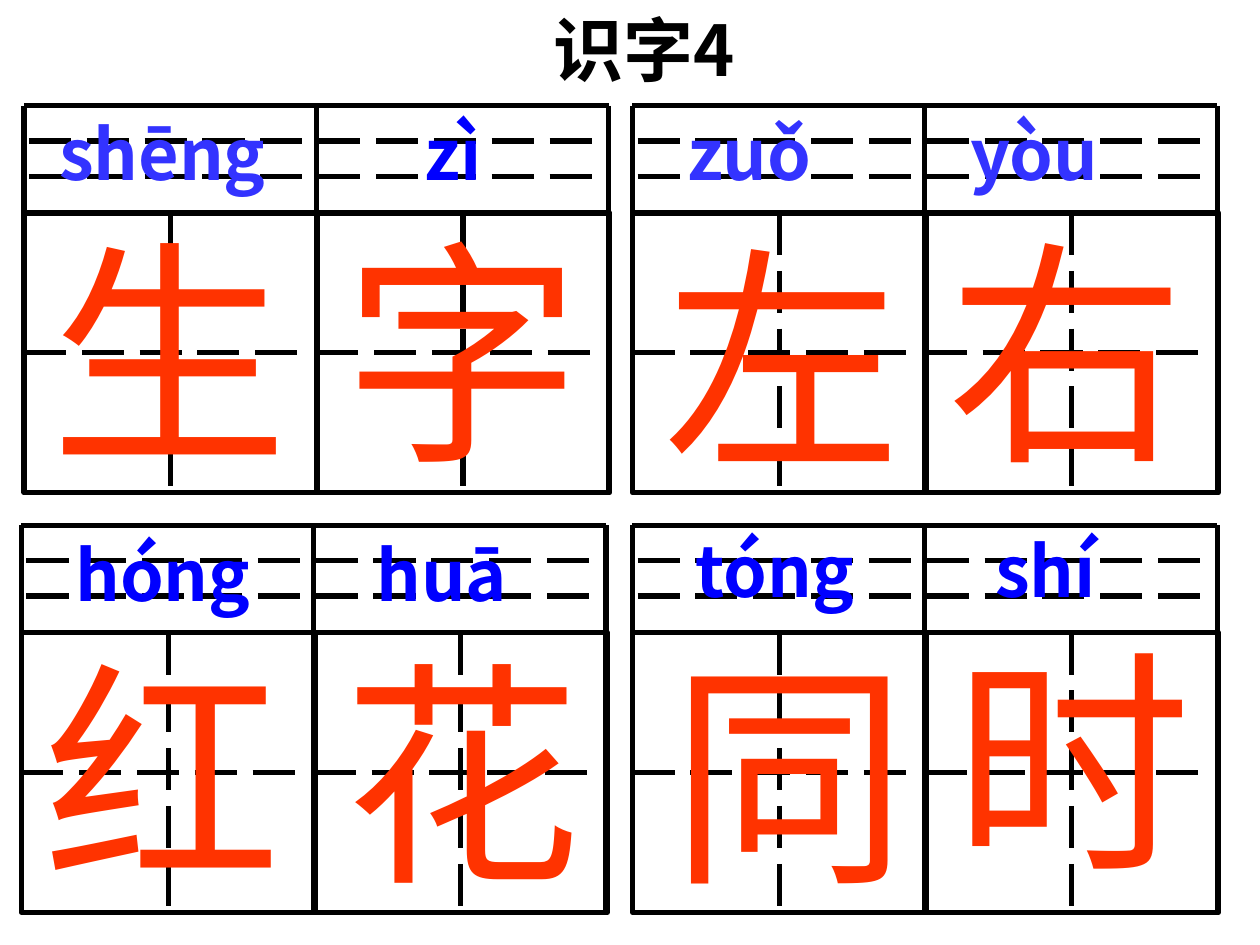
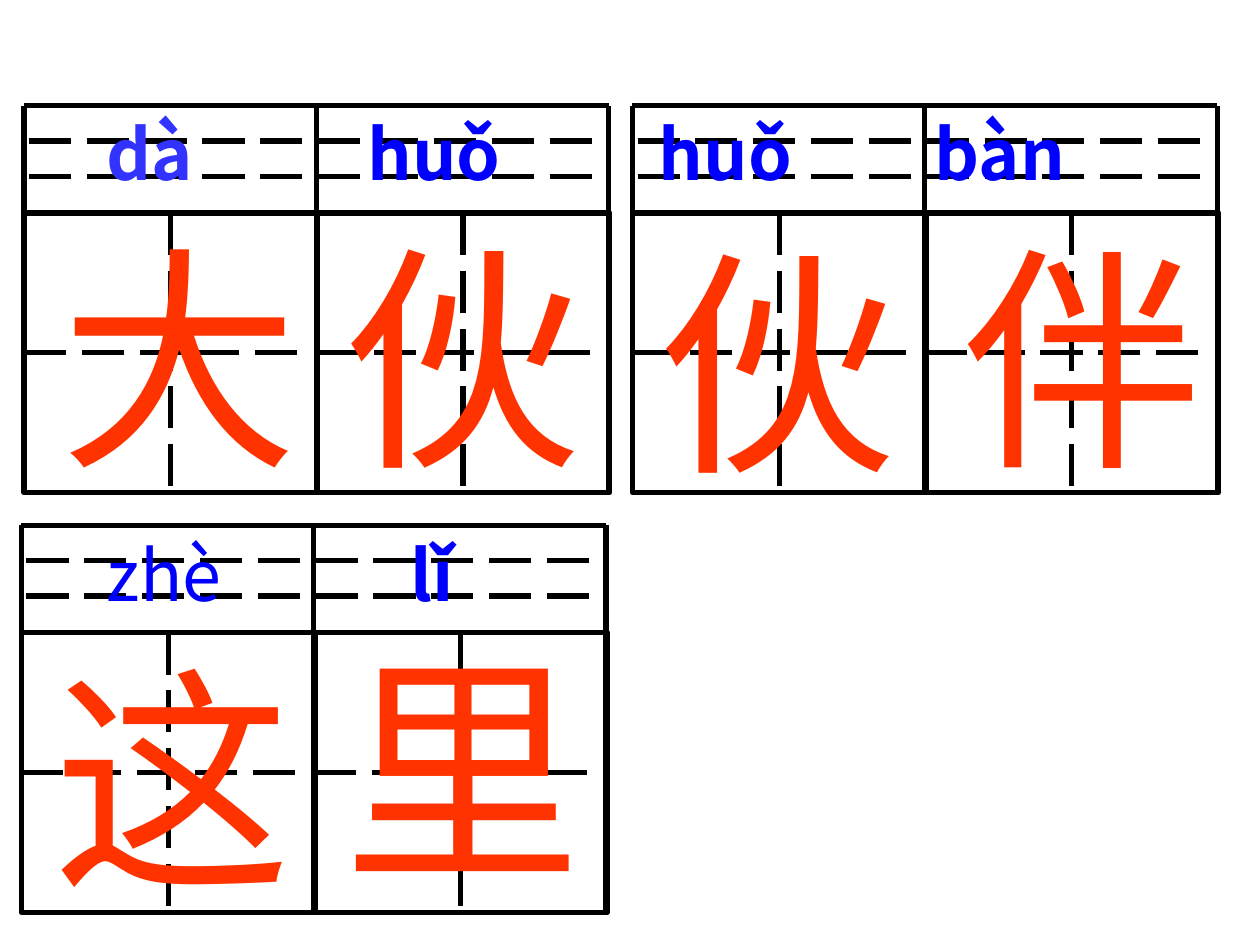
"""Build two slides of Chinese characters in writing grids with pinyin above."""
import pptx
import pptx.dml.color
import pptx.enum.dml
import pptx.enum.shapes
import pptx.enum.text
import pptx.oxml.ns
import pptx.util
from lxml import etree

Inches = pptx.util.Inches
Pt = pptx.util.Pt
RGBColor = pptx.dml.color.RGBColor

BLACK = RGBColor(0x00, 0x00, 0x00)
RED = RGBColor(0xFF, 0x33, 0x00)
BLUE = RGBColor(0x00, 0x00, 0xFF)
LIGHT_BLUE = RGBColor(0x33, 0x33, 0xFF)
CJK_FONT = "Noto Sans CJK SC"
HANZI_FONT = "Arial"

TITLE_ONLY, BLANK = 5, 6
HANZI_SIZE, PINYIN_SIZE = 136, 40
HANZI_WIDTH, HANZI_HEIGHT = 2.28, 2.37
LINE_HEIGHT = 0.77

CELL_PITCH, CELL_WIDTH, CELL_HEIGHT = 2.32, 2.33, 2.22
PINYIN_BAND = 0.85
GRID_WIDTH, GRID_HEIGHT = 2 * CELL_PITCH, 3.06
GUIDE_STEP, GUIDE_INSET = 0.28, 0.04

TOP_LEFT, TOP_RIGHT = (0.19, 0.84), (5.02, 0.84)
BOTTOM_LEFT, BOTTOM_RIGHT = (0.17, 4.17), (5.02, 4.17)

LESSONS = [
    {
        "title": "识字4",
        "grids": [TOP_LEFT, TOP_RIGHT, BOTTOM_LEFT, BOTTOM_RIGHT],
        "hanzi": [
            ("生", 0.3, 1.58), ("字", 2.63, 1.58), ("左", 5.17, 1.63), ("右", 7.42, 1.58),
            ("红", 0.25, 4.92), ("花", 2.63, 4.92), ("同", 5.22, 4.92), ("时", 7.47, 4.83),
        ],
        "pinyin": [
            ((0.12, 0.83, 9.88), [
                ("shēng", 0.25, LIGHT_BLUE, True), ("zì", 3.15, BLUE, True),
                ("zuǒ", 5.24, LIGHT_BLUE, True), ("yòu", 7.48, LIGHT_BLUE, True)]),
            ((0, 4.17, 6.08), [("hóng", 0.5, BLUE, True), ("huā", 2.89, BLUE, True)]),
            ((4.92, 4.14, 5.08), [("tóng", 0.5, BLUE, True), ("shí", 2.88, BLUE, True)]),
        ],
    },
    {
        "title": None,
        "grids": [TOP_LEFT, TOP_RIGHT, BOTTOM_LEFT],
        "hanzi": [
            ("大", 0.38, 1.63), ("伙", 2.63, 1.63), ("伙", 5.13, 1.67), ("伴", 7.55, 1.63),
            ("这", 0.33, 4.97), ("里", 2.63, 4.88),
        ],
        "pinyin": [
            ((0.12, 0.83, 9.88), [
                ("dà", 0.63, LIGHT_BLUE, True), ("huǒ", 2.7, BLUE, True),
                ("huǒ", 5.01, BLUE, True), ("bàn", 7.2, BLUE, True)]),
            ((0, 4.17, 6.08), [("zhè", 0.75, BLUE, False), ("lǐ", 3.16, BLUE, True)]),
        ],
    },
]


def style_line(line, dashed=False):
    line.color.rgb = BLACK
    line.width = Pt(3)
    if dashed:
        line.dash_style = pptx.enum.dml.MSO_LINE.LONG_DASH


def draw_line(shapes, x1, y1, x2, y2, dashed=False):
    stroke = shapes.add_connector(
        pptx.enum.shapes.MSO_CONNECTOR.STRAIGHT,
        Inches(x1), Inches(y1), Inches(x2), Inches(y2))
    style_line(stroke.line, dashed)
    etree.SubElement(stroke._element.spPr, pptx.oxml.ns.qn("a:effectLst"))


def draw_grid(slide, left, top):
    shapes = slide.shapes.add_group_shape().shapes
    right, bottom = left + GRID_WIDTH, top + GRID_HEIGHT
    cell_top = top + PINYIN_BAND
    for column in range(2):
        x = left + column * CELL_PITCH
        cell = shapes.add_shape(
            pptx.enum.shapes.MSO_SHAPE.RECTANGLE,
            Inches(x), Inches(cell_top), Inches(CELL_WIDTH), Inches(CELL_HEIGHT))
        cell.shadow.inherit = False
        cell.fill.background()
        style_line(cell.line)
        middle_x, middle_y = x + CELL_WIDTH / 2, cell_top + CELL_HEIGHT / 2
        draw_line(shapes, middle_x, cell_top, middle_x, cell_top + CELL_HEIGHT, True)
        draw_line(shapes, x, middle_y, x + CELL_PITCH - GUIDE_INSET, middle_y, True)
    draw_line(shapes, left, top, right, top)
    for guide in (1, 2):
        y = top + guide * GUIDE_STEP
        draw_line(shapes, left + GUIDE_INSET, y, right, y, True)
    for column in range(3):
        x = left + column * CELL_PITCH
        draw_line(shapes, x, top, x, bottom)


def style_run(run, font_name, size, color, bold=False):
    run.font.name = font_name
    run.font.size = Pt(size)
    run.font.bold = bold
    run.font.color.rgb = color
    east_asian = etree.SubElement(run._r.get_or_add_rPr(), pptx.oxml.ns.qn("a:ea"))
    east_asian.set("typeface", CJK_FONT)


def set_frame(frame):
    frame.word_wrap = True
    frame.auto_size = pptx.enum.text.MSO_AUTO_SIZE.SHAPE_TO_FIT_TEXT
    frame.vertical_anchor = pptx.enum.text.MSO_ANCHOR.TOP


def add_text_frame(slide, left, top, width, height):
    frame = slide.shapes.add_textbox(
        Inches(left), Inches(top), Inches(width), Inches(height)).text_frame
    set_frame(frame)
    return frame


def add_hanzi(slide, character, left, top):
    frame = add_text_frame(slide, left, top, HANZI_WIDTH, HANZI_HEIGHT)
    frame.text = character
    style_run(frame.paragraphs[0].runs[0], HANZI_FONT, HANZI_SIZE, RED)


def add_pinyin(slide, place, syllables):
    paragraph = add_text_frame(slide, *place, LINE_HEIGHT).paragraphs[0]
    tabs = etree.SubElement(
        paragraph._p.get_or_add_pPr(), pptx.oxml.ns.qn("a:tabLst"))
    for syllable, offset, color, bold in syllables:
        etree.SubElement(
            tabs, pptx.oxml.ns.qn("a:tab"), pos=str(Inches(offset)), algn="l")
        run = paragraph.add_run()
        run.text = "\t" + syllable
        style_run(run, CJK_FONT, PINYIN_SIZE, color, bold)


def set_title(slide, text):
    title = slide.shapes.title
    title.left, title.top = Inches(4.29), Inches(0)
    title.width, title.height = Inches(2.52), Inches(LINE_HEIGHT)
    set_frame(title.text_frame)
    title.text_frame.text = text
    paragraph = title.text_frame.paragraphs[0]
    paragraph.alignment = pptx.enum.text.PP_ALIGN.LEFT
    style_run(paragraph.runs[0], CJK_FONT, PINYIN_SIZE, BLACK, True)


def main():
    deck = pptx.Presentation()
    deck.slide_width, deck.slide_height = Inches(10), Inches(7.5)
    for lesson in LESSONS:
        layout = TITLE_ONLY if lesson["title"] else BLANK
        slide = deck.slides.add_slide(deck.slide_layouts[layout])
        if lesson["title"]:
            set_title(slide, lesson["title"])
        for corner in lesson["grids"]:
            draw_grid(slide, *corner)
        for entry in lesson["hanzi"]:
            add_hanzi(slide, *entry)
        for place, syllables in lesson["pinyin"]:
            add_pinyin(slide, place, syllables)
    deck.save("out.pptx")


if __name__ == "__main__":
    main()
